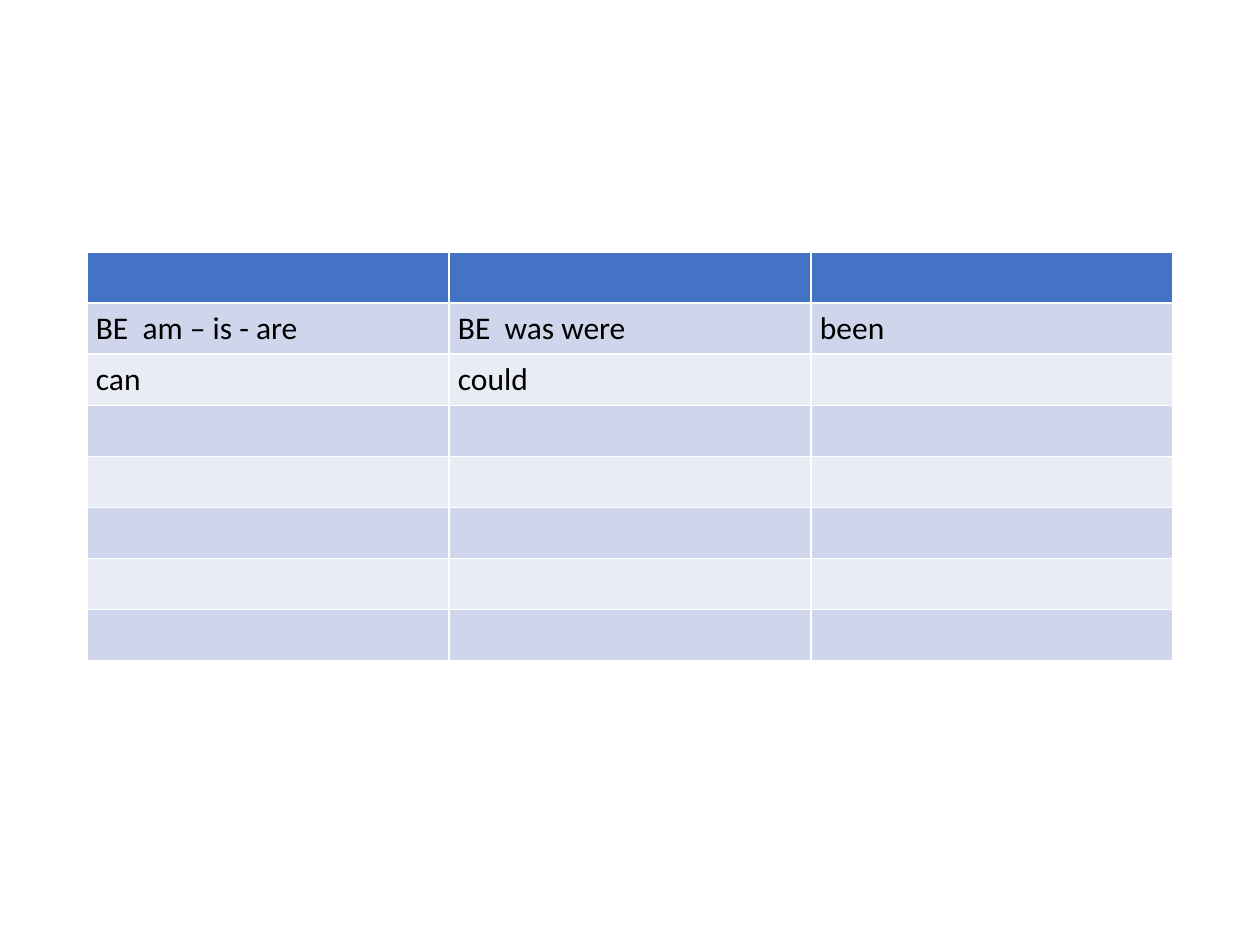
from pptx import Presentation
from pptx.dml.color import RGBColor
from pptx.util import Pt


def tint(code):
    return RGBColor.from_string(code)


deck = Presentation()
deck.slide_width, deck.slide_height = Pt(720), Pt(540)
slide = deck.slides.add_slide(deck.slide_layouts[6])

# Verb forms: present, past, participle
verbs = {
    1: ["BE  am – is - are", "BE  was were", "been"],
    2: ["can", "could", ""],
}
rows, cols = 8, 3
wide, high = 206.9, 29.2

# Table; its default style draws the white grid lines
table = slide.shapes.add_table(
    rows, cols, Pt(49.6), Pt(144), Pt(cols * wide), Pt(rows * high)
).table
for col in table.columns:
    col.width = Pt(wide)

for r, row in enumerate(table.rows):
    row.height = Pt(high)
    # Blue header, then alternating bands
    fill = "4472C4" if r == 0 else ("E9EBF5", "CFD5EA")[r % 2]
    for c, cell in enumerate(row.cells):
        cell.fill.solid()
        cell.fill.fore_color.rgb = tint(fill)
        cell.margin_left = cell.margin_right = Pt(5.2)
        cell.margin_top = cell.margin_bottom = Pt(3.6)
        if r in verbs:
            cell.text = verbs[r][c]
        font = cell.text_frame.paragraphs[0].font
        font.name, font.size = "Calibri", Pt(18)
        font.color.rgb = tint("000000")

deck.save("out.pptx")
